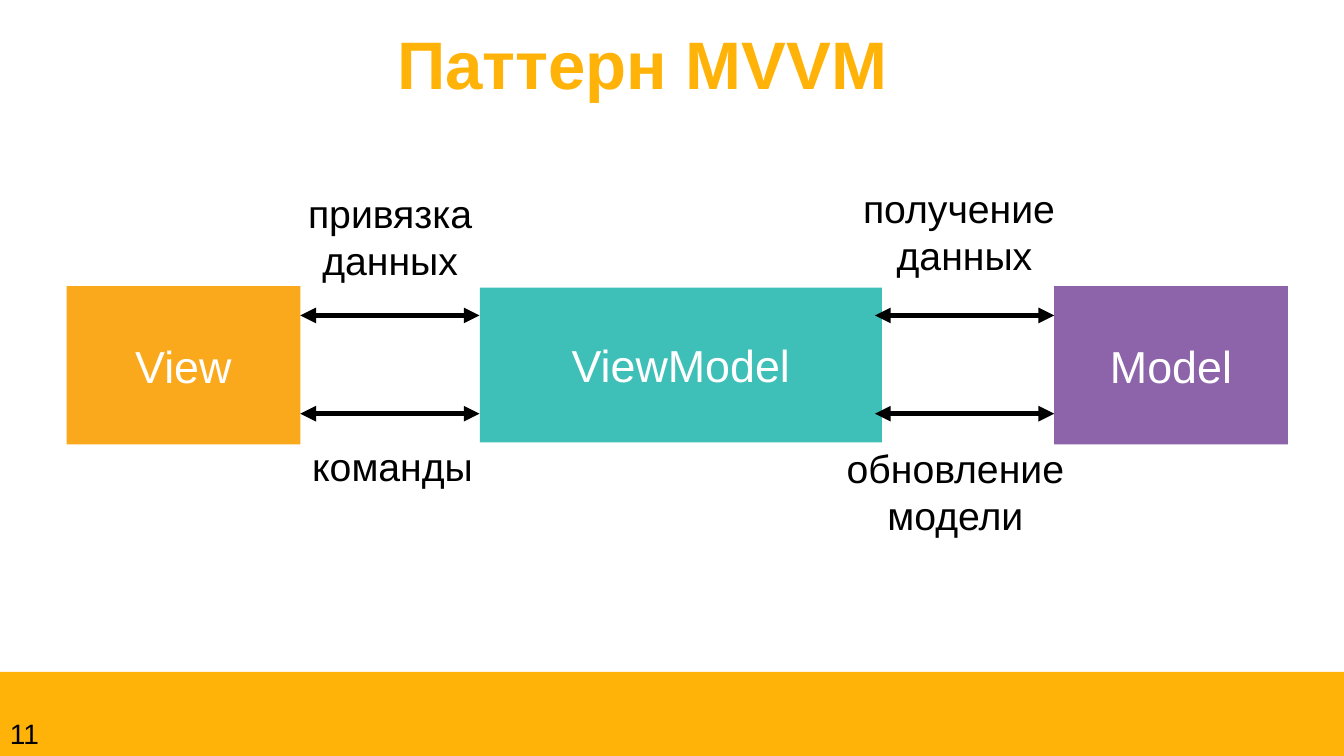
from pptx import Presentation
from pptx.dml.color import RGBColor
from pptx.enum import shapes, text
from pptx.oxml import ns
from pptx.util import Pt
from lxml import etree

COLORS = {
    "amber": "FFB308",
    "view": "FAA91C",
    "view_model": "3EC0B8",
    "model": "8D64AA",
    "white": "FFFFFF",
    "black": "000000",
}
CENTER = text.PP_ALIGN.CENTER


def rgb(name):
    return RGBColor.from_string(COLORS[name])


def set_text(tf, lines, size, color, align=CENTER, bold=False):
    """Write one paragraph per line, all in the same style."""
    for i, line in enumerate(lines):
        p = tf.add_paragraph() if i else tf.paragraphs[0]
        p.text = line
        p.alignment = align
        p.font.name = "Arial"
        p.font.size = Pt(size)
        p.font.bold = bold
        p.font.color.rgb = rgb(color)


def add_block(s, left, top, width, height, fill, caption=None):
    sp = s.shapes.add_shape(shapes.MSO_SHAPE.RECTANGLE,
                            Pt(left), Pt(top), Pt(width), Pt(height))
    sp.shadow.inherit = False
    sp.fill.solid()
    sp.fill.fore_color.rgb = rgb(fill)
    sp.line.fill.background()
    if caption:
        sp.text_frame.vertical_anchor = text.MSO_ANCHOR.MIDDLE
        set_text(sp.text_frame, [caption], 32, "white")


def add_label(s, left, top, width, height, lines, size=28, color="black",
              align=CENTER, bold=False, wrap=False, inset=None):
    sp = s.shapes.add_textbox(Pt(left), Pt(top), Pt(width), Pt(height))
    tf = sp.text_frame
    tf.word_wrap = wrap
    if inset is not None:
        tf.margin_left = tf.margin_right = Pt(inset)
        tf.margin_top = tf.margin_bottom = Pt(inset)
    set_text(tf, lines, size, color, align, bold)


def add_double_arrow(s, x1, x2, y):
    c = s.shapes.add_connector(shapes.MSO_CONNECTOR.STRAIGHT,
                               Pt(x1), Pt(y), Pt(x2), Pt(y))
    c.line.width = Pt(3.75)
    c.line.color.rgb = rgb("black")
    ln = c.line._get_or_add_ln()
    for end in ("a:headEnd", "a:tailEnd"):
        etree.SubElement(ln, ns.qn(end), type="triangle")
    etree.SubElement(c._element.spPr, ns.qn("a:effectLst"))


def main():
    prs = Presentation()
    prs.slide_width, prs.slide_height = Pt(960), Pt(540)
    s = prs.slides.add_slide(prs.slide_layouts[6])

    add_label(s, 12, 6.5, 894, 60, ["Паттерн MVVM"], size=48, color="amber",
              bold=True, wrap=True, inset=9.4)
    add_block(s, 0, 480, 960, 60, "amber")

    add_block(s, 47.5, 204.5, 167, 113, "view", "View")
    add_block(s, 342.7, 205.5, 287.3, 110.5, "view_model", "ViewModel")
    add_block(s, 753, 204.5, 167, 113, "model", "Model")

    for x in (214.5, 625):
        for y in (225.3, 295.5):
            add_double_arrow(s, x, x + 128, y)

    add_label(s, 209.5, 131.8, 138.2, 75, ["привязка ", "данных"])
    add_label(s, 609, 128.2, 159.8, 75, ["получение ", "данных"])
    add_label(s, 212.4, 312.5, 136, 41, ["команды "])
    add_label(s, 596, 313.9, 172.8, 75, ["обновление", "модели"])
    add_label(s, 0, 508.5, 39, 31.5, ["11"], size=20,
              align=text.PP_ALIGN.LEFT, wrap=True)

    prs.save("out.pptx")


if __name__ == "__main__":
    main()
